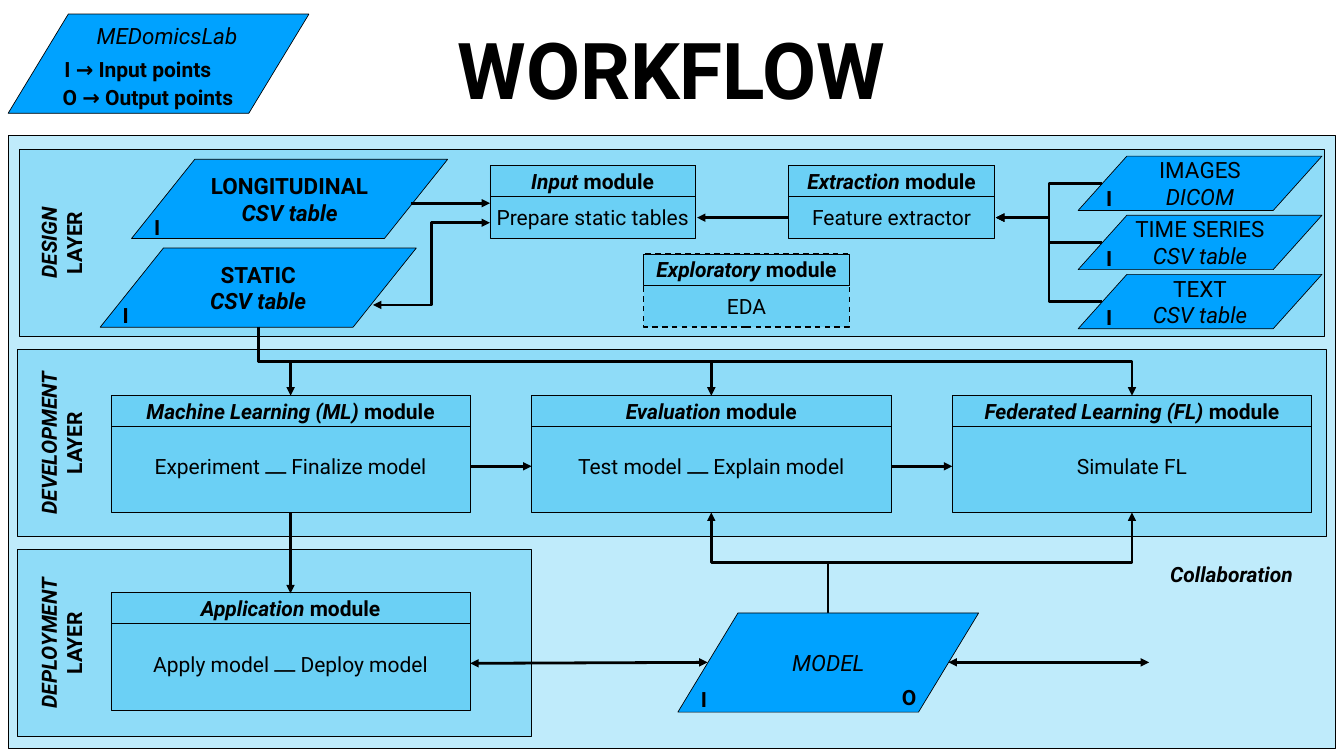
from pptx import Presentation
from pptx.dml.color import RGBColor
from pptx.enum.dml import MSO_LINE
from pptx.enum.shapes import MSO_CONNECTOR, MSO_SHAPE
from pptx.enum.text import MSO_ANCHOR, PP_ALIGN
from pptx.oxml.ns import qn
from pptx.util import Cm, Pt
from lxml.etree import SubElement

FONT = "Roboto"
BLACK, SKY, AZURE = "000000", "00B0F0", "00A2FF"
PANEL_HEIGHT = 9.4
LINE_HEIGHT = 1.57
INSET = 0.15
SMALL = (10.36, 3.68, 1.85)
LARGE = (18.11, 5.92, 2.79)


def rgb(value):
    """Turn a hex string into a colour."""
    return RGBColor.from_string(value)


def write(shape, paragraphs, size=30, align=PP_ALIGN.CENTER, inset=INSET, wrap=True):
    """Fill a shape with paragraphs of (text, style) runs; b is bold, i is italic."""
    frame = shape.text_frame
    frame.word_wrap = wrap
    frame.vertical_anchor = MSO_ANCHOR.MIDDLE
    frame.margin_left = frame.margin_right = Cm(inset)
    frame.margin_top = frame.margin_bottom = Cm(inset)
    for index, runs in enumerate(paragraphs):
        paragraph = frame.add_paragraph() if index else frame.paragraphs[0]
        paragraph.alignment = align
        paragraph.line_spacing = 1.0
        for text, style in runs:
            run = paragraph.add_run()
            run.text = text
            run.font.name = FONT
            run.font.size = Pt(size)
            run.font.bold = "b" in style
            run.font.italic = "i" in style
            run.font.color.rgb = rgb(BLACK)


def add_label(slide, box, text, style="b", size=30, align=PP_ALIGN.CENTER):
    """Add a one-line text box."""
    label = slide.shapes.add_textbox(*map(Cm, box))
    write(label, [[(text, style)]], size, align)


def add_box(slide, box, fill=None, alpha=None, preset=MSO_SHAPE.RECTANGLE):
    """Add an outlined shape with an optional, possibly transparent, fill."""
    shape = slide.shapes.add_shape(preset, *map(Cm, box))
    shape.shadow.inherit = False
    shape.line.color.rgb = rgb(BLACK)
    shape.line.width = Pt(1)
    if fill is None:
        shape.fill.background()
        return shape
    shape.fill.solid()
    shape.fill.fore_color.rgb = rgb(fill)
    if alpha:
        color = shape.element.spPr.find(qn("a:solidFill"))[0]
        SubElement(color, qn("a:alpha"), val=str(alpha * 1000))
    return shape


def add_data(slide, box, paragraphs=(), point=None):
    """Add a data parallelogram, with an input mark at an offset from its corner."""
    shape = add_box(slide, box, AZURE, preset=MSO_SHAPE.FLOWCHART_DATA)
    write(shape, paragraphs, 32, inset=0)
    if point:
        add_label(slide, (box[0] + point[0], box[1] + point[1], 2.74, LINE_HEIGHT), "I")


def add_layer(slide, left, top, width, name):
    """Add a layer panel with its vertical name."""
    add_box(slide, (left, top, width, PANEL_HEIGHT), SKY, 25)
    label_top = top + (PANEL_HEIGHT - 2.84) / 2
    label = slide.shapes.add_textbox(Cm(-1.35), Cm(label_top), Cm(8.86), Cm(2.84))
    label.rotation = 270
    write(label, [[(name, "bi")], [("LAYER", "b")]])


def add_module(slide, left, top, size, name, content, dashed=False):
    """Add a module: a frame, a header and its content."""
    width, height, content_offset = size
    frame = add_box(slide, (left, top, width, height), SKY, 25)
    if dashed:
        frame.line.width = Pt(2)
        frame.line.dash_style = MSO_LINE.DASH
    header = add_box(slide, (left, top, width, LINE_HEIGHT))
    write(header, [[(name, "bi"), (" module", "b")]])
    add_label(slide, (left, top + content_offset, width, LINE_HEIGHT), content, "")


def add_arrow(slide, start, end, bend=None, double=False):
    """Add an arrow: straight, or bent with a first leg that is "across" or "down"."""
    (x1, y1), (x2, y2) = start, end
    if bend == "down":
        x, y = (x1 + x2) / 2, (y1 + y2) / 2
        half_x, half_y = (x2 - x1) / 2, (y2 - y1) / 2
        x1, y1, x2, y2 = x + half_y, y - half_x, x - half_y, y + half_x
    kind = MSO_CONNECTOR.ELBOW if bend else MSO_CONNECTOR.STRAIGHT
    arrow = slide.shapes.add_connector(kind, Cm(x1), Cm(y1), Cm(x2), Cm(y2))
    arrow.line.color.rgb = rgb(BLACK)
    arrow.line.width = Pt(4)
    properties = arrow.element.spPr
    if bend == "down":
        properties.find(qn("a:xfrm")).set("rot", str(270 * 60000))
    line = properties.find(qn("a:ln"))
    if double:
        SubElement(line, qn("a:headEnd"), type="triangle")
    SubElement(line, qn("a:tailEnd"), type="triangle")
    SubElement(properties, qn("a:effectLst"))


def add_heading(slide):
    """Add the title and the legend."""
    title = slide.shapes.title
    title.left, title.top, title.width, title.height = map(Cm, (21.59, 0.91, 24.51, 5.08))
    write(title, [[("WORKFLOW", "b")]], 112, wrap=False)
    add_data(slide, (0.41, 0.71, 15.16, 5))
    add_label(slide, (3.1, 1.02, 10.64, LINE_HEIGHT), "MEDomicsLab", "i", 32)
    add_label(slide, (3.1, 2.72, 11.2, LINE_HEIGHT), "I → Input points", align=PP_ALIGN.LEFT)
    add_label(slide, (1.37, 4.09, 12.17, LINE_HEIGHT), "O → Output points")


def add_design(slide):
    """Add the contents of the design layer."""
    for left, top, name in ((6.63, 8.03, "LONGITUDINAL"), (5.05, 12.5, "STATIC")):
        lines = [[(name, "b")], [("CSV table", "bi")]]
        add_data(slide, (left, top, 15.93, 3.99), lines, (-0.08, 2.62))
    sources = (("IMAGES", "DICOM"), ("TIME SERIES", "CSV table"), ("TEXT", "CSV table"))
    for row, (name, kind) in enumerate(sources):
        top = 7.87 + 2.98 * row
        lines = [[(name, "")], [(kind, "i")]]
        add_data(slide, (54.33, top, 12.29, 2.74), lines, (0.2, 1.35))
        add_arrow(slide, (55.55, top + 1.37), (50.19, 10.97), "across")
    add_module(slide, 24.69, 8.33, SMALL, "Input", "Prepare static tables")
    add_module(slide, 39.75, 8.33, SMALL, "Extraction", "Feature extractor")
    add_module(slide, 32.44, 12.8, SMALL, "Exploratory", "EDA", dashed=True)
    add_arrow(slide, (39.75, 10.97), (35.13, 10.97))
    add_arrow(slide, (20.73, 10.24), (24.69, 10.24))
    add_arrow(slide, (18.8, 15.37), (24.69, 11.23), "across", double=True)


def add_development(slide):
    """Add the modules of the development layer and the arrows into them."""
    modules = (
        ("Machine Learning (ML)", "Experiment ⎼ Finalize model"),
        ("Evaluation", "Test model ⎼ Explain model"),
        ("Federated Learning (FL)", "Simulate FL"),
    )
    for column, (name, content) in enumerate(modules):
        left = 5.59 + 21.2 * column
        center = left + LARGE[0] / 2
        add_module(slide, left, 19.91, LARGE, name, content)
        add_arrow(slide, (13.03, 16.48), (center, 19.94), "down")
        if column:
            add_arrow(slide, (left - 3.09, 23.5), (left, 23.5))
            add_arrow(slide, (41.73, 30.89), (center, 25.83), "down")


def add_deployment(slide):
    """Add the application module, the model and the collaboration."""
    add_module(slide, 5.59, 29.87, LARGE, "Application", "Apply model ⎼ Deploy model")
    add_data(slide, (34.16, 30.89, 15.16, 5), [[("MODEL", "i")]], (-0.05, 3.55))
    add_label(slide, (44.45, 34.34, 2.74, LINE_HEIGHT), "O")
    add_label(slide, (56.69, 28.17, 10.74, LINE_HEIGHT), "Collaboration", "bi")
    add_arrow(slide, (14.64, 25.83), (14.64, 29.9))
    add_arrow(slide, (23.7, 33.43), (35.66, 33.38), double=True)
    add_arrow(slide, (47.8, 33.38), (57.91, 33.38), double=True)


def main():
    """Build the workflow slide."""
    presentation = Presentation()
    presentation.slide_width, presentation.slide_height = Cm(67.73), Cm(38.1)
    slide = presentation.slides.add_slide(presentation.slide_layouts[5])
    add_heading(slide)
    add_box(slide, (0.41, 6.81, 66.88, 30.91), SKY, 25)
    add_layer(slide, 0.97, 7.54, 65.79, "DESIGN")
    add_layer(slide, 0.89, 17.63, 65.94, "DEVELOPMENT")
    add_layer(slide, 0.89, 27.71, 25.88, "DEPLOYMENT")
    add_design(slide)
    add_development(slide)
    add_deployment(slide)
    presentation.save("out.pptx")


if __name__ == "__main__":
    main()
